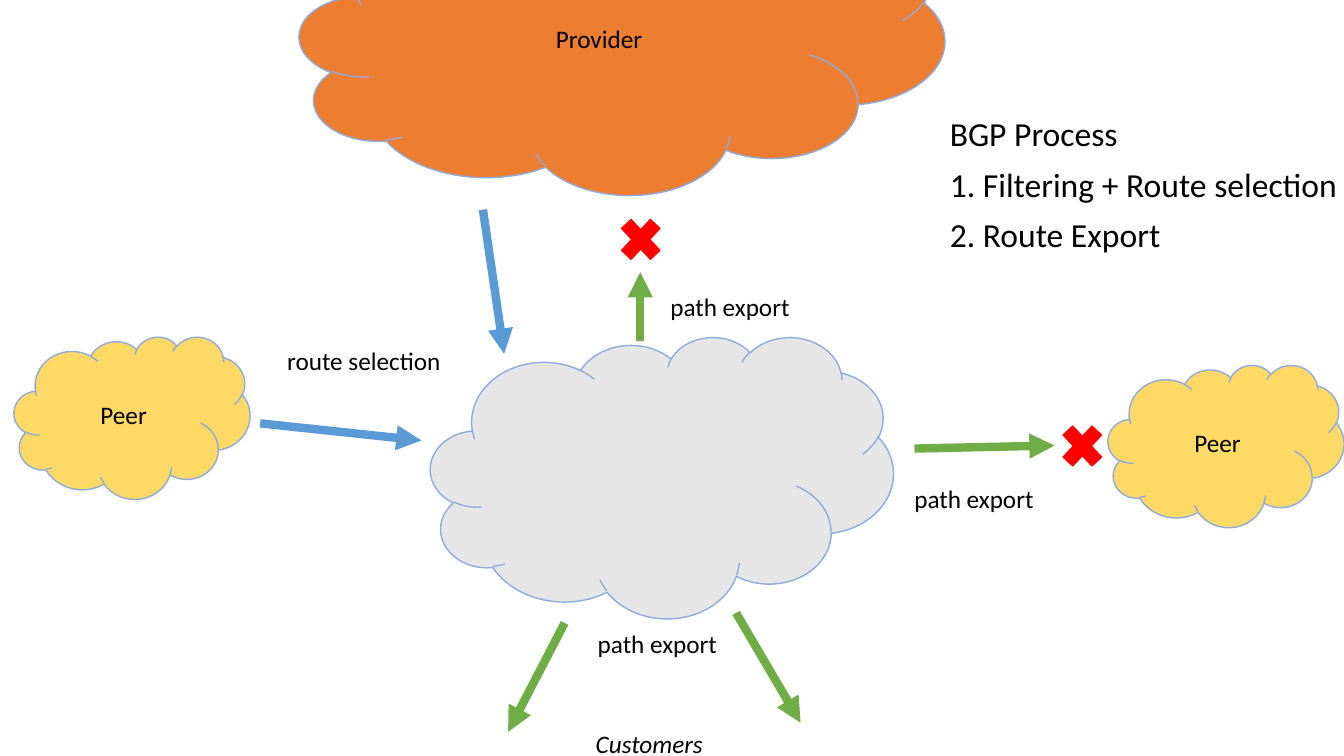
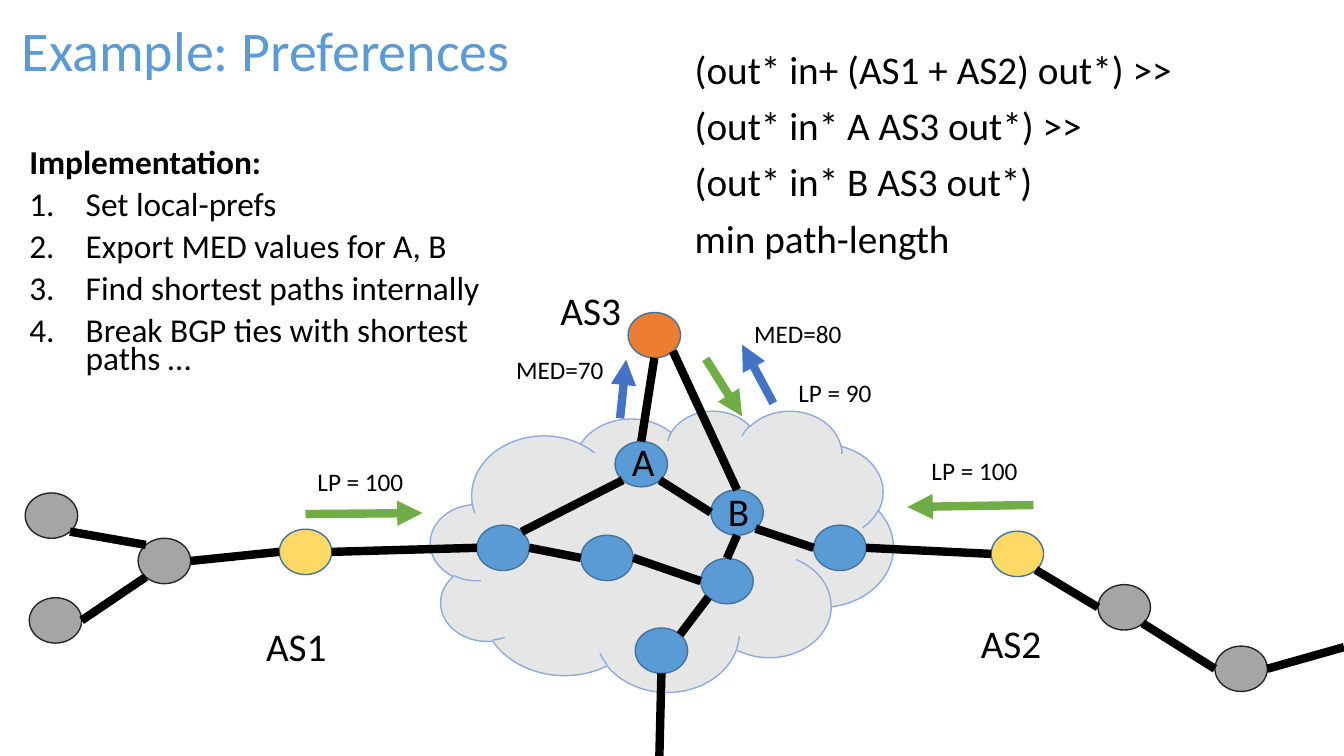
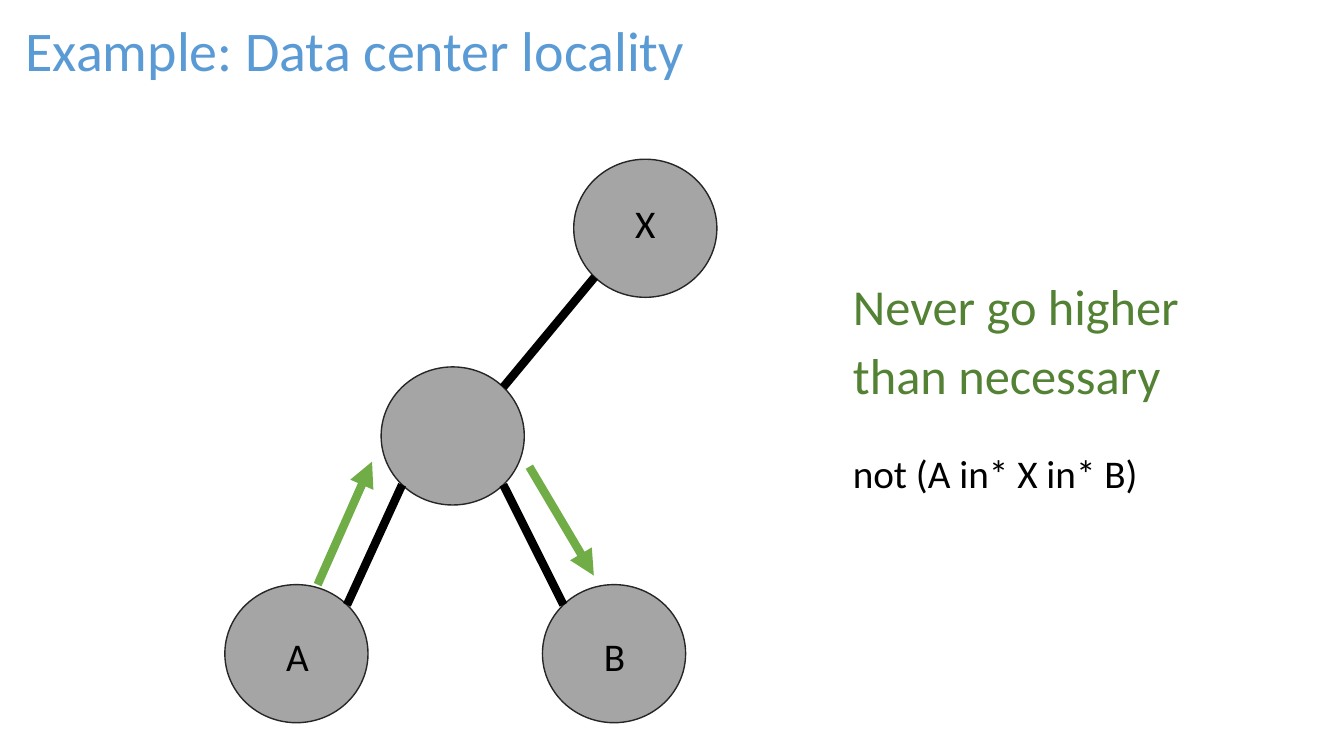
from dataclasses import dataclass
from math import cos, radians, sin
from typing import NamedTuple

from lxml import etree
from pptx import Presentation, util as u
from pptx.dml.color import RGBColor
from pptx.enum import shapes as sh, text as tx
from pptx.oxml import ns

HUES = {
    "black": "000000", "blue": "5B9BD5", "navy": "4472C4", "green": "70AD47",
    "moss": "548235", "gold": "FFD966", "orange": "ED7D31", "red": "FF0000",
    "mist": "E7E6E6", "gray": "A5A5A5", "sky": "8FAADC", "steel": "43739E",
    "coal": "262626",
}
FONT = "Calibri"
LOOSE = {"line_spacing": 0.9, "space_before": u.Pt(10)}
TIGHT = {"line_spacing": 0.7, "space_before": u.Pt(10)}
HEAD = {"line_spacing": 0.9, "space_before": u.Pt(0),
        "alignment": tx.PP_ALIGN.CENTER}
MID = {"alignment": tx.PP_ALIGN.CENTER}
# Compass points around a node, as clockwise angles from the east
ANGLES = {"e": 0, "se": 45, "s": 90, "sw": 135,
          "w": 180, "nw": 225, "n": 270, "ne": 315}


class Box(NamedTuple):
    x: float
    y: float
    w: float
    h: float


class Point(NamedTuple):
    x: float
    y: float


@dataclass
class Form:
    box: Box
    fill: str
    line: str
    kind: sh.MSO_SHAPE = sh.MSO_SHAPE.OVAL
    text: str = ""


@dataclass
class Label:
    box: Box
    text: str
    size: float = 28
    hue: str = "black"
    italic: bool = False


@dataclass
class Line:
    start: Point
    end: Point
    hue: str = "black"
    arrow: bool = True


def rgb(hue: str) -> RGBColor:
    return RGBColor.from_string(HUES[hue])


def apply(item, style: dict) -> None:
    for key, val in style.items():
        setattr(item, key, val)


def place(shape, box: Box) -> None:
    names = ("left", "top", "width", "height")
    apply(shape, {n: u.Inches(v) for n, v in zip(names, box)})


def write(frame, lines: list[str], size: float, hue: str = "black",
          style: dict = LOOSE, **extra) -> None:
    """Fill a text frame, one paragraph a line."""
    for num, line in enumerate(lines):
        par = frame.paragraphs[0] if num == 0 else frame.add_paragraph()
        apply(par, style)
        run = par.add_run()
        run.text = line
        apply(run.font, {"name": FONT, "size": u.Pt(size), **extra})
        run.font.color.rgb = rgb(hue)


def mark(par, hang: float = 0) -> None:
    """Number a paragraph with a hanging indent, or clear its bullet."""
    props = par._p.get_or_add_pPr()
    props.set("marL", str(u.Inches(hang)))
    props.set("indent", str(-u.Inches(hang)))
    if hang:
        num = etree.SubElement(props, ns.qn("a:buFont"))
        num.set("typeface", "+mj-lt")
        num = etree.SubElement(props, ns.qn("a:buAutoNum"))
        num.set("type", "arabicPeriod")
    else:
        etree.SubElement(props, ns.qn("a:buNone"))


def title(slide, text: str, width: float) -> None:
    shape = slide.shapes.title
    place(shape, Box(-0.01, -0.05, width, 0.93))
    apply(shape.text_frame, {
        "word_wrap": True, "auto_size": tx.MSO_AUTO_SIZE.NONE,
        "vertical_anchor": tx.MSO_ANCHOR.BOTTOM})
    write(shape.text_frame, [text], 40, "blue", HEAD)


def body(slide, idx: int, box: Box, lines: list[str], size: float,
         hue: str = "black", style: dict = LOOSE):
    shape = slide.placeholders[idx]
    place(shape, box)
    frame = shape.text_frame
    apply(frame, {"word_wrap": True, "auto_size": tx.MSO_AUTO_SIZE.NONE})
    write(frame, lines, size, hue, style)
    return frame.paragraphs


def draw(slide, form: Form) -> None:
    shape = slide.shapes.add_shape(form.kind, *map(u.Inches, form.box))
    shape.shadow.inherit = False
    shape.fill.solid()
    shape.fill.fore_color.rgb = rgb(form.fill)
    shape.line.color.rgb = rgb(form.line)
    shape.line.width = u.Pt(1)
    if form.text:
        shape.text_frame.vertical_anchor = tx.MSO_ANCHOR.MIDDLE
        write(shape.text_frame, [form.text], 18, style=MID)


def note(slide, label: Label, wrap: bool = True) -> None:
    shape = slide.shapes.add_textbox(*map(u.Inches, label.box))
    frame = shape.text_frame
    fit = tx.MSO_AUTO_SIZE.NONE if wrap else tx.MSO_AUTO_SIZE.SHAPE_TO_FIT_TEXT
    apply(frame, {"word_wrap": wrap, "auto_size": fit})
    write(frame, [label.text], label.size, label.hue,
          LOOSE if wrap else {}, italic=label.italic)


def join(slide, line: Line) -> None:
    ends = map(u.Inches, (*line.start, *line.end))
    wire = slide.shapes.add_connector(sh.MSO_CONNECTOR.STRAIGHT, *ends)
    wire.line.color.rgb = rgb(line.hue)
    wire.line.width = u.Pt(6)
    if line.arrow:
        tip = etree.SubElement(wire.line._get_or_add_ln(), ns.qn("a:tailEnd"))
        tip.set("type", "triangle")
    etree.SubElement(wire._element.spPr, ns.qn("a:effectLst"))


def site(form: Form, way: str) -> Point:
    """The point on a node's rim in a compass direction."""
    box, turn = form.box, radians(ANGLES[way])
    return Point(box.x + box.w / 2 * (1 + cos(turn)),
                 box.y + box.h / 2 * (1 + sin(turn)))


def cloud(box: Box, fill: str, text: str = "") -> Form:
    return Form(box, fill, "sky", sh.MSO_SHAPE.CLOUD, text)


def graph(slide, nodes: dict[str, Form], links: list[tuple]) -> None:
    """Draw nodes, then the links between their rims."""
    for node in nodes.values():
        draw(slide, node)
    for one, out, two, into in links:
        join(slide, Line(site(nodes[one], out), site(nodes[two], into),
                         arrow=False))


def arrows(slide, rows: list[tuple]) -> None:
    for hue, start, end in rows:
        join(slide, Line(Point(*start), Point(*end), hue))


def routes(deck) -> None:
    slide = deck.slides.add_slide(deck.slide_layouts[1])
    head = slide.shapes.title._element
    head.getparent().remove(head)
    steps = ["BGP Process", "1. Filtering + Route selection", "2. Route Export"]
    for par in body(slide, 1, Box(9.32, 1.12, 4.29, 1.47), steps, 24):
        mark(par)

    # Networks
    draw(slide, cloud(Box(4.27, 3.34, 4.59, 2.79), "mist"))
    draw(slide, cloud(Box(2.97, -1.03, 6.4, 2.96), "orange", "Provider"))
    for x, y in ((0.14, 3.34), (10.99, 3.62)):
        draw(slide, cloud(Box(x, y, 2.34, 1.61), "gold", "Peer"))

    # Imports and exports
    arrows(slide, [
        ("green", (6.35, 3.38), (6.35, 2.7)),
        ("green", (9.07, 4.45), (10.46, 4.42)),
        ("green", (7.3, 6.08), (7.94, 7.17)),
        ("green", (5.6, 6.18), (5.04, 7.26)),
        ("blue", (4.79, 2.08), (5, 3.51)),
        ("blue", (2.58, 4.2), (4.18, 4.37)),
    ])
    for x, y in ((6.08, 2.08), (10.46, 4.13)):
        draw(slide, Form(Box(x, y, 0.55, 0.59), "red", "red",
                         sh.MSO_SHAPE.MATH_MULTIPLY))

    # Labels
    note(slide, Label(Box(5.81, 7.18, 1.29, 0.4), "Customers", 18,
                      italic=True), False)
    note(slide, Label(Box(2.75, 3.38, 1.79, 0.4), "route selection", 18), False)
    for x, y in ((8.97, 4.75), (6.55, 2.84), (5.83, 6.18)):
        note(slide, Label(Box(x, y, 1.39, 0.4), "path export", 18), False)


def prefs(deck) -> None:
    slide = deck.slides.add_slide(deck.slide_layouts[3])
    title(slide, "Example: Preferences", 5.29)
    rules = ["(out* in+ (AS1 + AS2) out*) >>", "(out* in* A AS3 out*) >>",
             "(out* in* B AS3 out*) ", "min path-length"]
    for par in body(slide, 2, Box(6.79, 0.45, 5.44, 2.42), rules, 28):
        mark(par)
    steps = ["Implementation:", "Set local-prefs", "Export MED values for A, B",
             "Find shortest paths internally",
             "Break BGP ties with shortest paths …"]
    lead, *rest = body(slide, 1, Box(0.19, 1.46, 5.18, 2.42), steps, 23.8,
                       style=TIGHT)
    lead.runs[0].font.bold = True
    mark(lead)
    for par in rest:
        mark(par, 0.56)

    # Network
    draw(slide, cloud(Box(4.27, 4.07, 4.59, 2.79), "mist"))
    spots = {
        "blue": {"west": (4.73, 5.21), "mid": (5.76, 5.31), "A": (6.1, 4.38),
                 "south": (6.3, 6.23), "east": (8.07, 5.21),
                 "B": (7.05, 4.86), "core": (6.95, 5.54)},
        "gold": {"AS1": (2.77, 5.25), "AS2": (9.83, 5.27)},
        "orange": {"AS3": (6.23, 3.1)},
        "gray": {"top": (0.25, 4.89), "low": (0.29, 5.93), "fork": (1.37, 5.34),
                 "near": (10.89, 5.8), "far": (12.05, 6.41)},
    }
    nodes = {
        name: Form(Box(x, y, 0.52, 0.45), hue,
                   "coal" if hue == "gray" else "steel")
        for hue, group in spots.items() for name, (x, y) in group.items()
    }
    graph(slide, nodes, [
        ("A", "se", "B", "w"), ("B", "se", "east", "w"),
        ("B", "s", "core", "n"), ("core", "sw", "south", "ne"),
        ("core", "w", "mid", "e"), ("A", "sw", "west", "ne"),
        ("west", "e", "mid", "w"), ("east", "e", "AS2", "w"),
        ("west", "w", "AS1", "e"), ("AS1", "w", "fork", "e"),
        ("fork", "nw", "top", "se"), ("fork", "sw", "low", "e"),
        ("near", "w", "AS2", "se"), ("far", "w", "near", "se"),
        ("AS3", "s", "A", "n"), ("AS3", "se", "B", "n"),
    ])
    for name, way, end in (("far", "e", Point(13.33, 6.42)),
                           ("south", "s", Point(6.54, 7.5))):
        join(slide, Line(site(nodes[name], way), end, arrow=False))

    # Announcements
    arrows(slide, [
        ("green", (10.25, 5.01), (9, 5.03)),
        ("green", (3.03, 5.1), (4.19, 5.09)),
        ("green", (7, 3.56), (7.36, 4.13)),
        ("navy", (7.67, 4), (7.36, 3.42)),
        ("navy", (6.15, 4.15), (6.21, 3.57)),
    ])

    # Labels
    for text, x, y, w in (("AS1", 2.54, 6.18, 1.08), ("AS2", 9.63, 6.15, 1.08),
                          ("AS3", 5.46, 2.84, 1.08), ("A", 6.17, 4.34, 0.64),
                          ("B", 7.12, 4.84, 0.47)):
        note(slide, Label(Box(x, y, w, 0.66), text))
    for text, x, y in (("MED=80", 7.38, 3.14), ("MED=70", 5.02, 3.5),
                       ("LP = 100", 9.14, 4.5), ("LP = 100", 3.05, 4.61),
                       ("LP = 90", 7.82, 3.73)):
        note(slide, Label(Box(x, y, 1.21, 0.46), text, 18))


def local(deck) -> None:
    slide = deck.slides.add_slide(deck.slide_layouts[1])
    title(slide, "Example: Data center locality", 7.06)
    goal = ["Never go higher ", "than necessary"]
    for par in body(slide, 1, Box(8.36, 2.75, 4.05, 1.53), goal, 36, "moss"):
        mark(par)

    # Tree
    spots = {"A": (2.23, 5.8), "B": (5.38, 5.8),
             "hub": (3.78, 3.64), "X": (5.69, 1.58)}
    nodes = {name: Form(Box(x, y, 1.42, 1.37), "gray", "coal")
             for name, (x, y) in spots.items()}
    graph(slide, nodes, [("hub", "sw", "A", "ne"), ("hub", "se", "B", "nw"),
                         ("X", "sw", "hub", "ne")])
    arrows(slide, [("green", (3.15, 5.8), (3.69, 4.58)),
                   ("green", (5.25, 4.63), (5.89, 5.71))])

    # Labels
    for text, drop in (("A", 0.48), ("B", 0.48), ("X", 0.4)):
        x, y = spots[text]
        note(slide, Label(Box(x + 0.51, y + drop, 0.41, 0.66), text))
    note(slide, Label(Box(8.36, 4.46, 4.78, 0.7), "not (A in* X in* B)"))


def main() -> None:
    deck = Presentation()
    apply(deck, {"slide_width": u.Inches(13.33), "slide_height": u.Inches(7.5)})
    for build in (routes, prefs, local):
        build(deck)
    deck.save("out.pptx")


main()
